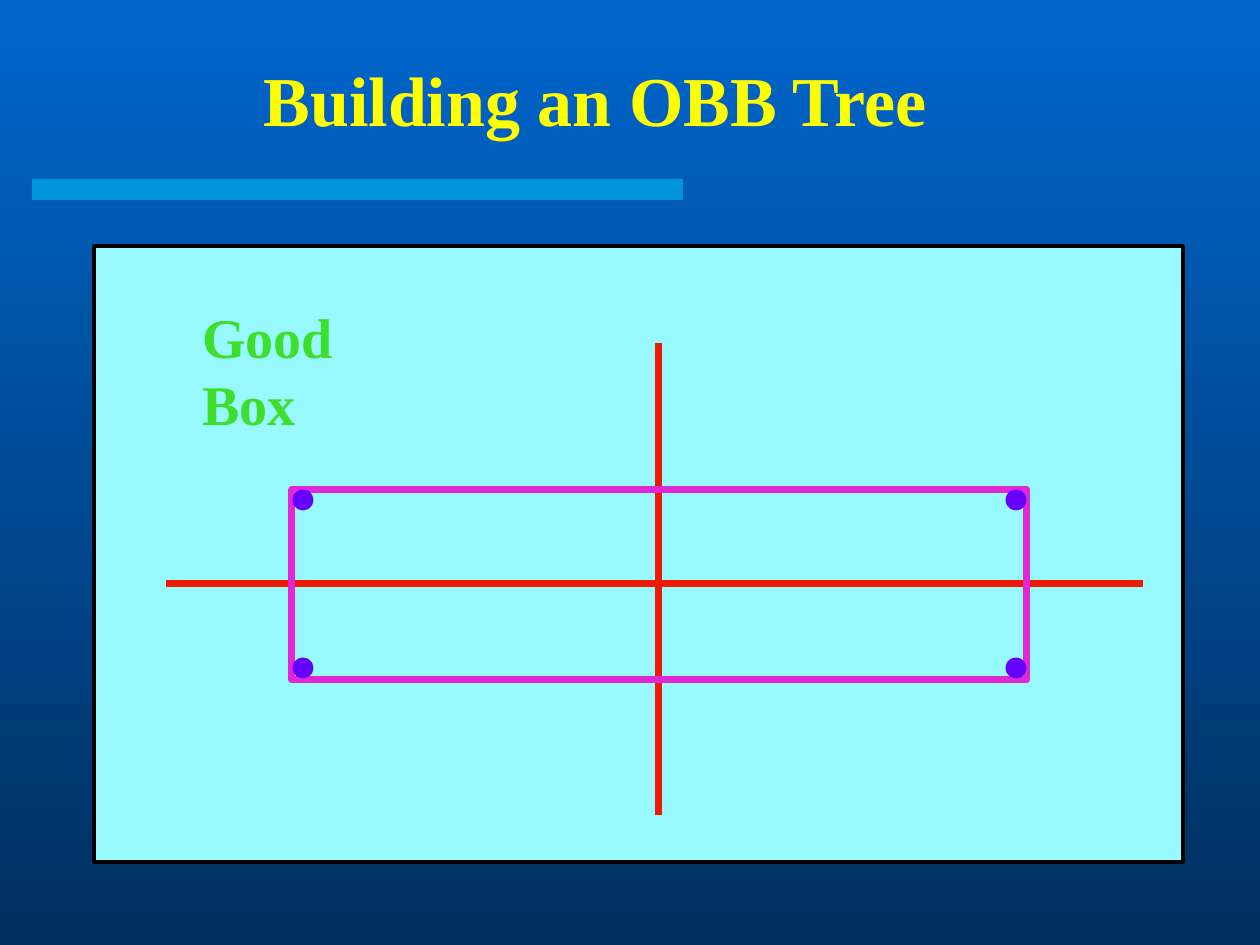
from dataclasses import dataclass
from itertools import product

from lxml import etree
from pptx import Presentation
from pptx.dml.color import RGBColor
from pptx.enum.shapes import MSO_CONNECTOR, MSO_SHAPE
from pptx.enum.text import MSO_ANCHOR, PP_ALIGN
from pptx.oxml.ns import qn
from pptx.util import Pt

RECTANGLE, OVAL = MSO_SHAPE.RECTANGLE, MSO_SHAPE.OVAL
STRAIGHT = MSO_CONNECTOR.STRAIGHT
MIDDLE, TOP = MSO_ANCHOR.MIDDLE, MSO_ANCHOR.TOP
CENTER, LEFT = PP_ALIGN.CENTER, PP_ALIGN.LEFT
PX = 914400 / 126


@dataclass(frozen=True)
class Theme:
    font: str = "Times New Roman"
    title_size: int = 40
    label_size: int = 32
    sky: str = "0066CC"
    navy: str = "002F5E"
    bar: str = "00CCFF"
    panel: str = "98FAFF"
    frame: str = "000000"
    title: str = "FFFF00"
    label: str = "3DDE2C"
    axis: str = "ED1903"
    box: str = "DF27D4"
    point: str = "6600FF"
    thin: int = 2
    thick: int = 4


theme = Theme()


def add_shape(kind, bounds, fill=None, line=None, width=0):
    shape = slide.shapes.add_shape(kind, *(round(value * PX) for value in bounds))
    shape.shadow.inherit = False
    if fill:
        shape.fill.solid()
        shape.fill.fore_color.rgb = RGBColor.from_string(fill)
    else:
        shape.fill.background()
    if line:
        shape.line.color.rgb = RGBColor.from_string(line)
        shape.line.width = Pt(width)
    else:
        shape.line.fill.background()
    return shape


presentation = Presentation()
presentation.slide_width = round(1260 * PX)
presentation.slide_height = round(945 * PX)
slide = presentation.slides.add_slide(presentation.slide_layouts[6])

background = slide.background.fill
background.gradient()
background.gradient_angle = 270
for stop, color, position in zip(background.gradient_stops, (theme.sky, theme.navy), (0, 1)):
    stop.color.rgb = RGBColor.from_string(color)
    stop.position = position

# Half-transparent bar under the title
bar = add_shape(RECTANGLE, (32, 179, 651, 21), fill=theme.bar)
bar_color = bar.fill._xPr.find(qn("a:solidFill"))[0]
etree.SubElement(bar_color, qn("a:alpha"), val="50000")

add_shape(RECTANGLE, (94, 246, 1089, 616), theme.panel, theme.frame, theme.thin)

# Axes of the box
for ends in ((1143, 584, 166, 584), (659, 343, 659, 815)):
    axis = slide.shapes.add_connector(STRAIGHT, *(round(value * PX) for value in ends))
    axis.line.color.rgb = RGBColor.from_string(theme.axis)
    axis.line.width = Pt(theme.thick)
    etree.SubElement(axis._element.spPr, qn("a:effectLst"))

# Bounding box and the points in its corners
add_shape(RECTANGLE, (292, 490, 735, 190), line=theme.box, width=theme.thick)
for left, top in product((296, 1009), (493, 661)):
    add_shape(OVAL, (left, top, 14, 14), theme.point, theme.point, theme.thick)

texts = (
    ("Good Box", (190, 296, 263, 79), theme.label_size, theme.label, LEFT, TOP, False),
    ("Building an OBB Tree", (37, 40, 1116, 117), theme.title_size, theme.title, CENTER, MIDDLE, True),
)
for text, bounds, size, color, alignment, anchor, wrap in texts:
    text_box = slide.shapes.add_textbox(*(round(value * PX) for value in bounds))
    frame = text_box.text_frame
    frame.word_wrap = wrap
    frame.vertical_anchor = anchor
    paragraph = frame.paragraphs[0]
    paragraph.alignment = alignment
    run = paragraph.add_run()
    run.text = text
    run.font.name = theme.font
    run.font.size = Pt(size)
    run.font.bold = True
    run.font.color.rgb = RGBColor.from_string(color)

presentation.save("out.pptx")
